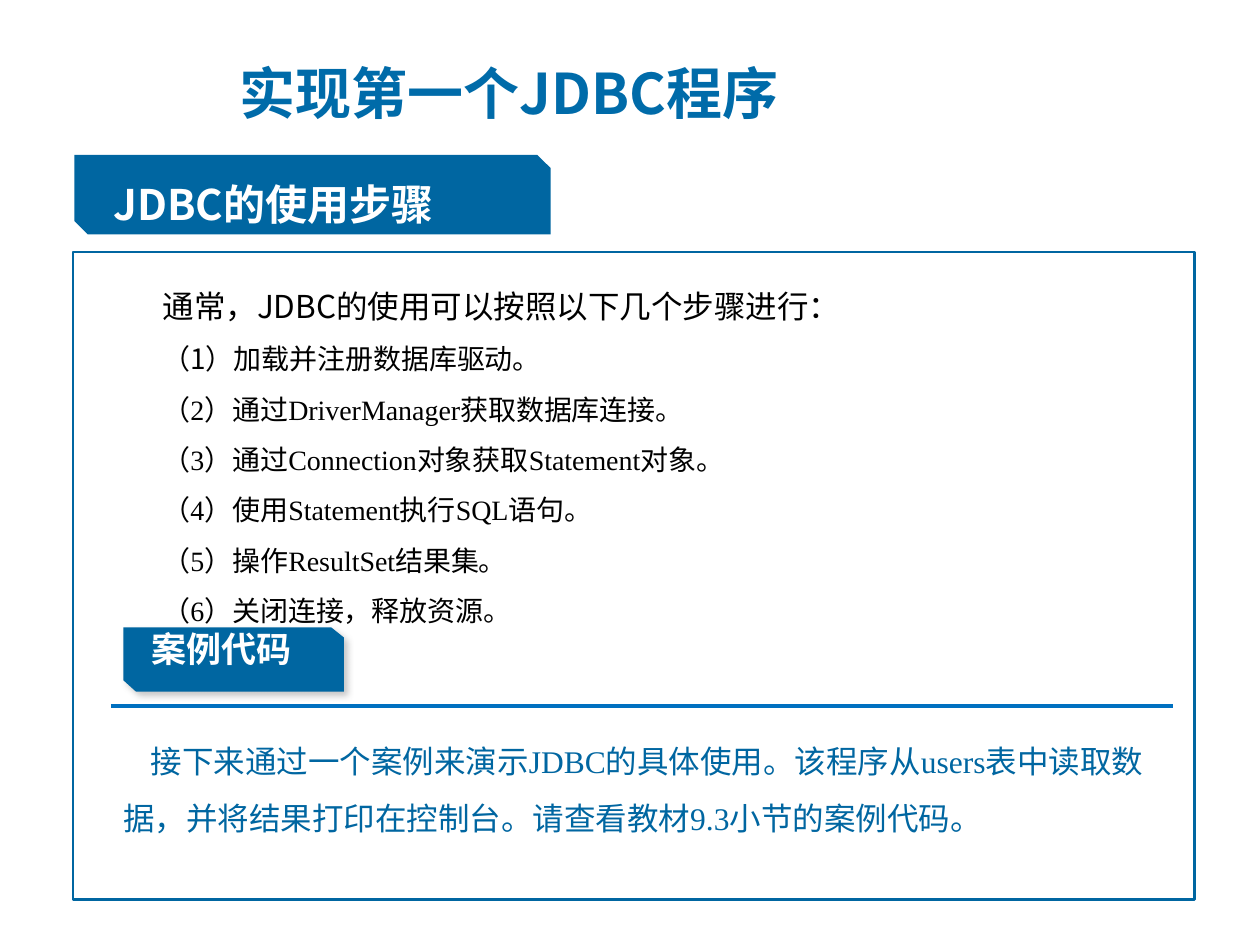
"""Build a slide on the steps of using JDBC and its example code."""
from lxml import etree
from pptx import Presentation
from pptx.dml.color import RGBColor
from pptx.enum.shapes import MSO_CONNECTOR, MSO_SHAPE
from pptx.enum.text import MSO_ANCHOR, MSO_AUTO_SIZE, PP_ALIGN
from pptx.oxml.ns import qn
from pptx.util import Inches, Pt

RECTANGLE = MSO_SHAPE.RECTANGLE
SNIPPED = MSO_SHAPE.SNIP_2_DIAG_RECTANGLE
STRAIGHT = MSO_CONNECTOR.STRAIGHT
TOP, MIDDLE = MSO_ANCHOR.TOP, MSO_ANCHOR.MIDDLE
NO_AUTOFIT = MSO_AUTO_SIZE.NONE
LEFT = PP_ALIGN.LEFT

WHITE = RGBColor(0xFF, 0xFF, 0xFF)
BLACK = RGBColor(0x00, 0x00, 0x00)
BLUE = RGBColor(0x00, 0x66, 0xA1)
TITLE_BLUE = RGBColor(0x00, 0x6B, 0xA9)
RULE_BLUE = RGBColor(0x00, 0x70, 0xC0)

SANS = "Noto Sans CJK SC"
SERIF = "Times New Roman"
FRAME = {"word_wrap": True, "auto_size": NO_AUTOFIT, "vertical_anchor": TOP}


def set_attributes(target, values):
    for attribute, value in values.items():
        setattr(target, attribute, value)


def add_text(paragraph, text, color, line_spacing=1.0, **font):
    set_attributes(paragraph, {"alignment": LEFT, "space_before": Pt(0),
                               "line_spacing": line_spacing})
    run = paragraph.add_run()
    run.text = text
    set_attributes(run.font, font)
    run.font.color.rgb = color
    east_asian = etree.SubElement(run.font._element, qn("a:ea"))
    east_asian.set("typeface", SANS)


presentation = Presentation()
presentation.slide_width = Inches(10)
presentation.slide_height = Inches(7.5)
slide = presentation.slides.add_slide(presentation.slide_layouts[1])
shapes = slide.shapes

panel = shapes.add_shape(RECTANGLE, Inches(0.58), Inches(2), Inches(8.9), Inches(5.14))
panel.shadow.inherit = False
panel.fill.solid()
panel.fill.fore_color.rgb = WHITE
panel_color = panel.element.spPr.find(qn("a:solidFill"))[0]
etree.SubElement(panel_color, qn("a:alpha")).set("val", "90000")
panel.line.color.rgb = BLUE
panel.line.width = Pt(1.5)
panel.element.getparent().insert(2, panel.element)

title = shapes.title
set_attributes(title, {"left": Inches(1.8), "top": Inches(0.43),
                       "width": Inches(5.41), "height": Inches(0.61)})
set_attributes(title.text_frame, FRAME | {"vertical_anchor": MIDDLE})
add_text(title.text_frame.paragraphs[0], "实现第一个JDBC程序", TITLE_BLUE,
         size=Pt(32), name=SANS, bold=True)

steps = slide.placeholders[1]
set_attributes(steps, {"left": Inches(0.69), "top": Inches(2.08),
                       "width": Inches(8.74), "height": Inches(2.98)})
set_attributes(steps.text_frame, FRAME)
step_lines = [
    [("通常，JDBC的使用可以按照以下几个步骤进行：", SANS, 18)],
    [("（1）", SANS, 16), ("加载并注册数据库驱动。", SERIF, 16)],
    [("（2）通过DriverManager获取数据库连接。", SERIF, 16)],
    [("（3）通过Connection对象获取Statement对象。", SERIF, 16)],
    [("（4）使用Statement执行SQL语句。", SERIF, 16)],
    [("（5）操作ResultSet结果集。", SERIF, 16)],
    [("（6）关闭连接，释放资源。", SERIF, 16)],
]
for index, parts in enumerate(step_lines):
    frame = steps.text_frame
    step = frame.add_paragraph() if index else frame.paragraphs[0]
    for text, font_name, size in parts:
        add_text(step, text, BLACK, 1.5, name=font_name, size=Pt(size))
    properties = step._p.get_or_add_pPr()
    properties.set("marL", str(Inches(0.5)))
    properties.set("indent", "0")
    etree.SubElement(properties, qn("a:buNone"))

banner = shapes.add_shape(SNIPPED, Inches(0.59), Inches(1.23), Inches(3.78), Inches(0.63))
banner.shadow.inherit = False
banner.fill.solid()
banner.fill.fore_color.rgb = BLUE
banner.line.fill.background()

heading = shapes.add_textbox(Inches(0.8), Inches(1.23), Inches(3.51), Inches(0.59))
set_attributes(heading.text_frame, FRAME)
add_text(heading.text_frame.paragraphs[0], "JDBC的使用步骤", WHITE, 1.35,
         size=Pt(24), name=SANS, bold=True)

outline = shapes.build_freeform(Inches(0.98), Inches(4.98))
corners = [(2.63, 4.98), (2.73, 5.06), (2.73, 5.49), (1.08, 5.49), (0.98, 5.4)]
outline.add_line_segments([(Inches(x), Inches(y)) for x, y in corners])
code_tag = outline.convert_to_shape()
code_tag.shadow.inherit = False
code_tag.fill.solid()
code_tag.fill.fore_color.rgb = BLUE
code_tag.line.fill.background()
effects = code_tag.element.spPr.find(qn("a:effectLst"))
shadow = etree.SubElement(effects, qn("a:outerShdw"), blurRad=str(Pt(4)),
                          dist=str(Pt(3)), dir="2700000", algn="tl", rotWithShape="0")
shadow_color = etree.SubElement(shadow, qn("a:srgbClr"), val="808080")
etree.SubElement(shadow_color, qn("a:alpha"), val="43000")
set_attributes(code_tag.text_frame, FRAME | {"margin_left": Inches(0.22),
                                             "margin_top": Inches(0)})
add_text(code_tag.text_frame.paragraphs[0], "案例代码", WHITE,
         size=Pt(20), name=SANS, bold=True)

example = shapes.add_textbox(Inches(0.88), Inches(5.69), Inches(8.43), Inches(0.95))
set_attributes(example.text_frame, FRAME)
description = example.text_frame.paragraphs[0]
add_text(description,
         "接下来通过一个案例来演示JDBC的具体使用。该程序从users表中读取数据，"
         "并将结果打印在控制台。请查看教材9.3小节的案例代码。",
         BLUE, 1.5, size=Pt(18), name=SERIF)
description._p.get_or_add_pPr().set("indent", str(Inches(0.22)))

rule = shapes.add_connector(STRAIGHT, Inches(0.88), Inches(5.6), Inches(9.31), Inches(5.6))
rule.line.color.rgb = RULE_BLUE
rule.line.width = Pt(2.25)
etree.SubElement(rule.element.spPr, qn("a:effectLst"))

presentation.save("out.pptx")
